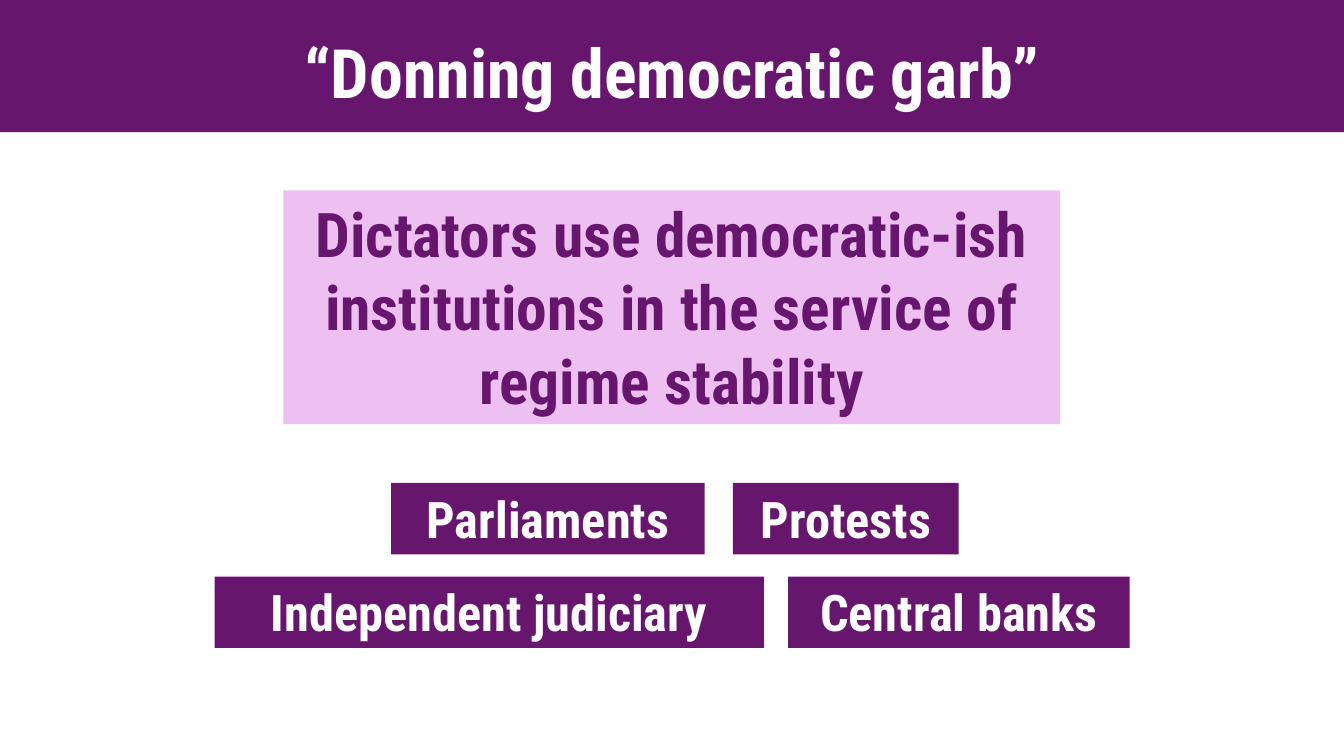
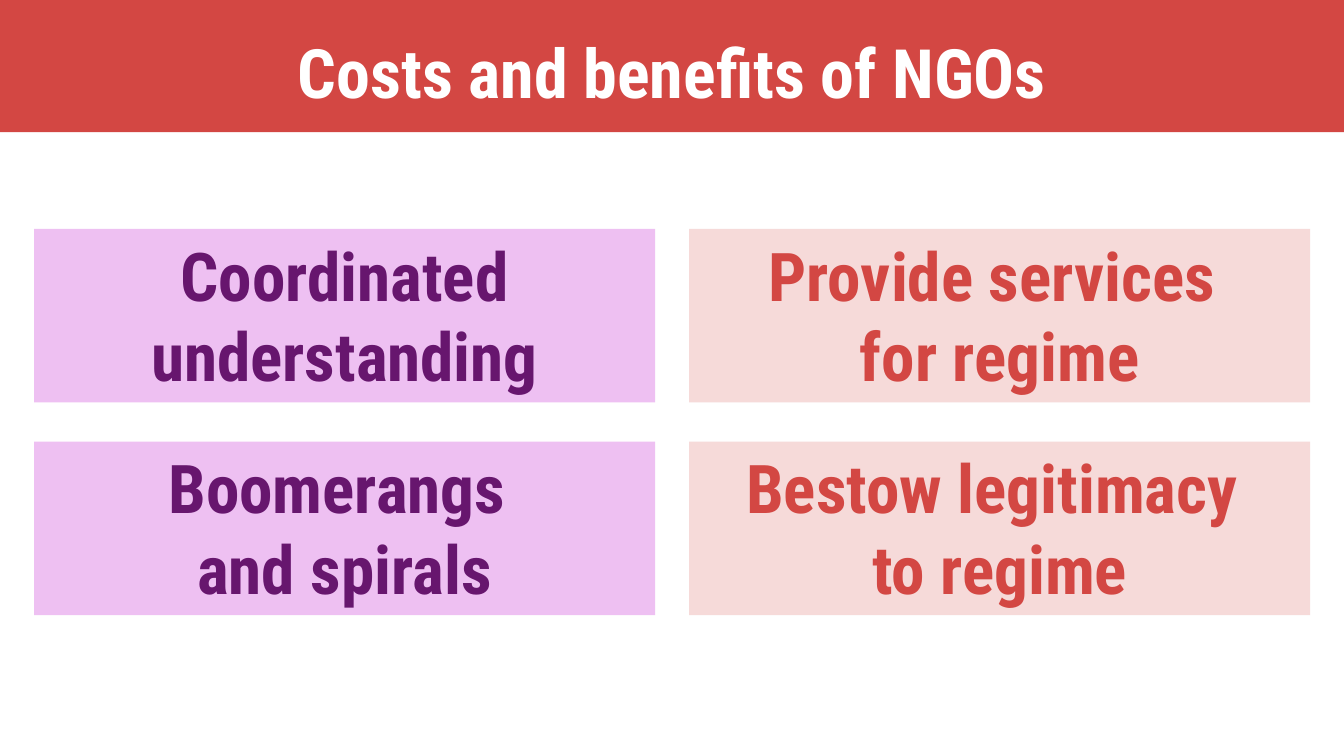
from dataclasses import dataclass

from pptx import Presentation
from pptx.dml.color import RGBColor
from pptx.enum.shapes import MSO_SHAPE
from pptx.enum.text import MSO_ANCHOR, MSO_AUTO_SIZE, PP_ALIGN
from pptx.presentation import Presentation as Deck
from pptx.shapes.autoshape import Shape
from pptx.slide import Slide
from pptx.text.text import TextFrame
from pptx.util import Cm, Pt


@dataclass(frozen=True)
class Theme:
    font: str = "Roboto Condensed"
    white: RGBColor = RGBColor(0xFF, 0xFF, 0xFF)
    purple: RGBColor = RGBColor(0x67, 0x16, 0x6E)
    lilac: RGBColor = RGBColor(0xEE, 0xC0, 0xF2)
    red: RGBColor = RGBColor(0xD3, 0x47, 0x43)
    pink: RGBColor = RGBColor(0xF6, 0xDA, 0xD9)
    title_size: float = 48.6
    quadrant_size: float = 48
    claim_size: float = 44
    label_size: float = 36


@dataclass(frozen=True)
class Box:
    """A filled rectangle, with lengths in centimetres."""
    left: float
    top: float
    width: float
    height: float
    fill: RGBColor


@dataclass(frozen=True)
class Label:
    text: str
    left: float
    width: float


THEME = Theme()
SLIDE_WIDTH, SLIDE_HEIGHT = 33.87, 19.05
BAND_HEIGHT = 3.33
TITLE_ONLY_LAYOUT = 5

LABEL_TOP, LABEL_HEIGHT, LABEL_ROW_STEP = 12.17, 1.8, 2.36
LABEL_ROWS = (
    (Label("Parliaments", 9.86, 7.9), Label("Protests", 18.47, 5.69)),
    (Label("Independent judiciary", 5.41, 13.84), Label("Central banks", 19.86, 8.61)),
)

QUADRANT_LEFT, QUADRANT_TOP = 0.86, 5.77
QUADRANT_WIDTH, QUADRANT_HEIGHT = 15.65, 4.37
COLUMN_STEP, ROW_STEP = 16.51, 5.36
QUADRANT_COLUMNS = (
    (THEME.lilac, THEME.purple, ("Coordinated understanding", "Boomerangs \vand spirals")),
    (THEME.pink, THEME.red, ("Provide services \vfor regime", "Bestow legitimacy \vto regime")),
)


def write_text(frame: TextFrame, text: str, size: float, color: RGBColor) -> None:
    frame.text = text
    frame.word_wrap = True
    paragraph = frame.paragraphs[0]
    paragraph.alignment = PP_ALIGN.CENTER
    for run in paragraph.runs:
        run.font.name = THEME.font
        run.font.size = Pt(size)
        run.font.bold = True
        run.font.color.rgb = color


def add_box(slide: Slide, box: Box) -> Shape:
    shape = slide.shapes.add_shape(
        MSO_SHAPE.RECTANGLE, Cm(box.left), Cm(box.top), Cm(box.width), Cm(box.height)
    )
    shape.shadow.inherit = False
    shape.fill.solid()
    shape.fill.fore_color.rgb = box.fill
    shape.line.fill.background()
    return shape


def add_text_box(slide: Slide, box: Box, text: str, size: float, color: RGBColor) -> None:
    frame = add_box(slide, box).text_frame
    write_text(frame, text, size, color)
    frame.vertical_anchor = MSO_ANCHOR.TOP
    frame.auto_size = MSO_AUTO_SIZE.SHAPE_TO_FIT_TEXT


def add_titled_slide(presentation: Deck, text: str, band_color: RGBColor) -> Slide:
    """Add a slide whose title lies on a full-width band."""
    slide = presentation.slides.add_slide(presentation.slide_layouts[TITLE_ONLY_LAYOUT])
    title = slide.shapes.title
    title.left, title.top, title.width, title.height = Cm(2.33), Cm(0.43), Cm(29.21), Cm(2.54)
    write_text(title.text_frame, text, THEME.title_size, THEME.white)
    title.text_frame.vertical_anchor = MSO_ANCHOR.MIDDLE
    title.text_frame.auto_size = MSO_AUTO_SIZE.NONE
    title.text_frame.paragraphs[0].line_spacing = 1.1
    band = add_box(slide, Box(0, 0, SLIDE_WIDTH, BAND_HEIGHT, band_color))
    title.element.addprevious(band.element)
    return slide


def add_democratic_garb_slide(presentation: Deck) -> None:
    slide = add_titled_slide(presentation, "“Donning democratic garb”", THEME.purple)
    add_text_box(
        slide,
        Box(7.14, 4.8, 19.58, 5.89, THEME.lilac),
        "Dictators use democratic-ish institutions in the service of regime stability",
        THEME.claim_size,
        THEME.purple,
    )
    for row, labels in enumerate(LABEL_ROWS):
        top = LABEL_TOP + row * LABEL_ROW_STEP
        for label in labels:
            box = Box(label.left, top, label.width, LABEL_HEIGHT, THEME.purple)
            add_text_box(slide, box, label.text, THEME.label_size, THEME.white)


def add_ngo_slide(presentation: Deck) -> None:
    slide = add_titled_slide(presentation, "Costs and benefits of NGOs", THEME.red)
    for column, (fill, color, texts) in enumerate(QUADRANT_COLUMNS):
        for row, text in enumerate(texts):
            box = Box(
                QUADRANT_LEFT + column * COLUMN_STEP,
                QUADRANT_TOP + row * ROW_STEP,
                QUADRANT_WIDTH,
                QUADRANT_HEIGHT,
                fill,
            )
            add_text_box(slide, box, text, THEME.quadrant_size, color)


def main() -> None:
    presentation = Presentation()
    presentation.slide_width = Cm(SLIDE_WIDTH)
    presentation.slide_height = Cm(SLIDE_HEIGHT)
    add_democratic_garb_slide(presentation)
    add_ngo_slide(presentation)
    presentation.save("out.pptx")


if __name__ == "__main__":
    main()
